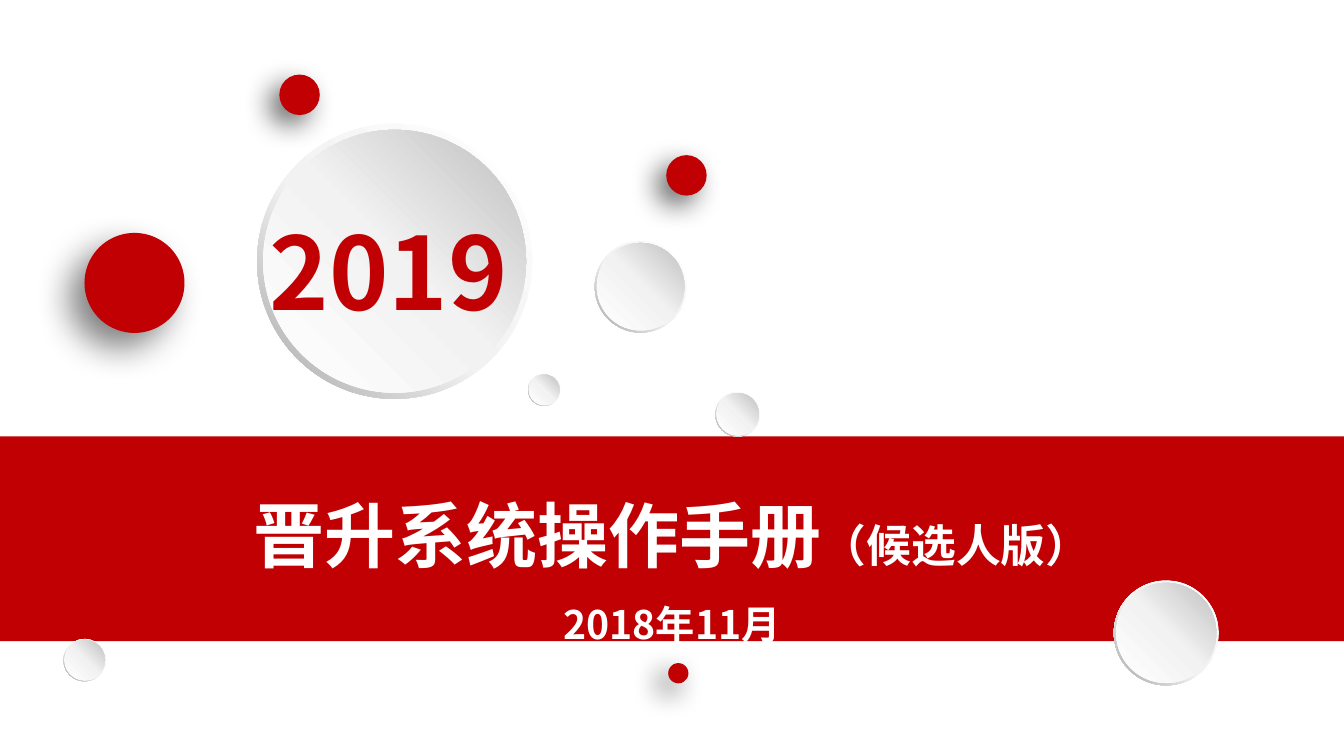
from copy import deepcopy

from lxml import etree
from pptx import Presentation
from pptx.dml.color import RGBColor
from pptx.enum.shapes import MSO_SHAPE
from pptx.enum.text import MSO_ANCHOR, MSO_AUTO_SIZE, PP_ALIGN
from pptx.oxml.ns import qn
from pptx.util import Cm, Pt

RECT, OVAL, DONUT = MSO_SHAPE.RECTANGLE, MSO_SHAPE.OVAL, MSO_SHAPE.DONUT
CENTER, LEFT = PP_ALIGN.CENTER, PP_ALIGN.LEFT
FONT, RED, WHITE = "Noto Sans CJK SC", "C00002", "FFFFFF"
WIDTH, HEIGHT = 33.87, 19.05

# Paragraphs of runs: (text, size in points)
TITLE = [[("晋升系统操作手册", 50.7), ("（候选人版）", 32)], [("2018年11月", 28)]]
YEAR = [[("2019", 72)]]

# Left, top, diameter in cm
BUTTONS = [
    (6.48, 3.12, 6.93),
    (18.03, 9.88, 1.12),
    (14.99, 6.07, 2.31),
    (13.31, 9.42, 0.81),
    (1.6, 16.1, 1.07),
    (28.07, 14.63, 2.64),
]
# Left, top, diameter in cm, then shadow opacity (%), blur and distance (pt)
DOTS = [
    (2.13, 5.87, 2.52, 50, 25, 15),
    (7.04, 1.88, 1.02, 60, 20, 10),
    (16.79, 3.91, 1.02, 60, 20, 10),
    (16.84, 16.71, 0.51, 60, 20, 10),
]
RIM_SHARE = 0.049
FACE_INSET = 0.022
RIM_STOPS = [(0, "FFFFFF"), (0.55, "F2F2F2"), (1, "A6A6A6")]
FACE_STOPS = [(0, "FFFFFF"), (0.51, "F2F2F2"), (1, "BFBFBF")]


def rgb(color):
    return RGBColor.from_string(color)


def add_plain(kind, left, top, width, height, color=RED):
    sp = s.shapes.add_shape(kind, Cm(left), Cm(top), Cm(width), Cm(height))
    sp.shadow.inherit = False
    sp.line.fill.background()
    sp.fill.solid()
    sp.fill.fore_color.rgb = rgb(color)
    return sp


def set_gradient(sp, stops, angle):
    """Fill with three stops; angle runs counter-clockwise."""
    sp.fill.gradient()
    sp.fill.gradient_angle = angle
    gs_list = sp._element.spPr.find(".//" + qn("a:gsLst"))
    gs_list.append(deepcopy(gs_list[0]))
    for stop, (position, color) in zip(sp.fill.gradient_stops, stops):
        stop.position = position
        stop.color.rgb = rgb(color)


def add_button(left, top, size):
    rim = add_plain(DONUT, left, top, size, size)
    rim.adjustments[0] = RIM_SHARE
    set_gradient(rim, RIM_STOPS, 225)
    inset = size * FACE_INSET
    face_size = size - 2 * inset
    face = add_plain(OVAL, left + inset, top + inset, face_size, face_size)
    set_gradient(face, FACE_STOPS, 45)


def add_dot(left, top, size, opacity, blur, distance):
    """Red disc with a soft shadow to the lower left."""
    sp = add_plain(OVAL, left, top, size, size)
    effects = sp._element.spPr.find(qn("a:effectLst"))
    shadow = etree.SubElement(
        effects, qn("a:outerShdw"), blurRad=str(Pt(blur)), dist=str(Pt(distance)),
        dir=str(135 * 60000), algn="tr", rotWithShape="0")
    black = etree.SubElement(shadow, qn("a:srgbClr"), val="000000")
    etree.SubElement(black, qn("a:alpha"), val=str(opacity * 1000))


def write(sp, paragraphs, color, align, spacing, wrap):
    tf = sp.text_frame
    tf.auto_size = MSO_AUTO_SIZE.NONE
    tf.word_wrap = wrap
    tf.vertical_anchor = MSO_ANCHOR.TOP
    for i, runs in enumerate(paragraphs):
        p = tf.add_paragraph() if i else tf.paragraphs[0]
        p.alignment = align
        p.line_spacing = spacing
        p.space_before = Pt(0)
        for text, size in runs:
            r = p.add_run()
            r.text = text
            r.font.size = Pt(size)
            r.font.bold = True
            r.font.name = FONT
            r.font.color.rgb = rgb(color)
            etree.SubElement(r._r.get_or_add_rPr(), qn("a:ea"), typeface=FONT)


prs = Presentation()
prs.slide_width, prs.slide_height = Cm(WIDTH), Cm(HEIGHT)
s = prs.slides.add_slide(prs.slide_layouts[5])

add_plain(RECT, 0, 11, WIDTH, 5.16)
for button in BUTTONS:
    add_button(*button)
for dot in DOTS:
    add_dot(*dot)

title = s.shapes.title
title.left, title.top, title.width, title.height = Cm(0), Cm(11.18), Cm(WIDTH), Cm(5.31)
s.shapes._spTree.append(title._element)
write(title, TITLE, WHITE, CENTER, 1.5, True)

year = s.shapes.add_textbox(Cm(6.55), Cm(5.16), Cm(6.83), Cm(3.33))
write(year, YEAR, RED, LEFT, 1, False)

prs.save("out.pptx")
